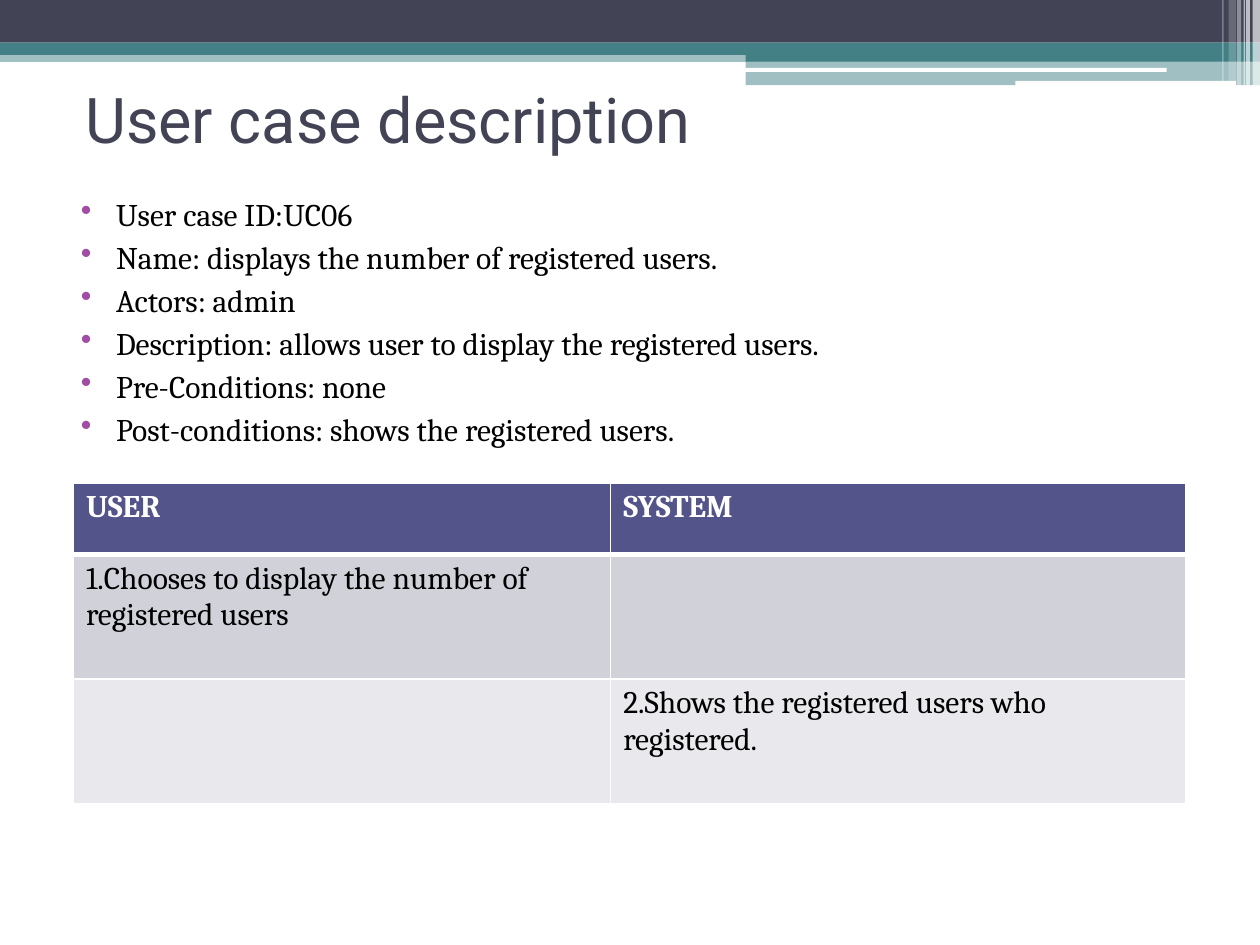
from dataclasses import dataclass

from lxml import etree
from pptx import Presentation
from pptx.dml.color import RGBColor
from pptx.enum.shapes import MSO_SHAPE
from pptx.enum.text import MSO_ANCHOR
from pptx.oxml.ns import qn
from pptx.util import Cm, Pt

RECT = MSO_SHAPE.RECTANGLE
ROUNDED = MSO_SHAPE.ROUNDED_RECTANGLE
MIDDLE = MSO_ANCHOR.MIDDLE


@dataclass(frozen=True)
class Theme:
    """Colours, fonts and type sizes of the slide."""

    navy: str = "424456"
    teal: str = "438086"
    white: str = "FFFFFF"
    ink: str = "000000"
    bullet: str = "A04DA3"
    header: str = "53548A"
    bands: tuple = ("D1D1DA", "E9E9ED")
    title_font: str = "Roboto"
    body_font: str = "Cambria"
    title_size: int = 36
    body_size: int = 18


class SlideBuilder:
    """Draws styled elements on the current slide."""

    def __init__(self, slide, theme):
        self.slide = slide
        self.theme = theme

    def bar(self, left, top, width, height, color, opacity=100, kind=RECT):
        shape = self.slide.shapes.add_shape(kind, Cm(left), Cm(top), Cm(width), Cm(height))
        shape.shadow.inherit = False
        shape.fill.solid()
        shape.fill.fore_color.rgb = RGBColor.from_string(color)
        shape.line.fill.background()
        if opacity < 100:
            color_node = shape.fill._xPr.find(qn("a:solidFill"))[0]
            etree.SubElement(color_node, qn("a:alpha"), val=str(opacity * 1000))

    def run(self, paragraph, text, color, font=None, size=None, bold=False):
        run = paragraph.add_run()
        run.text = text
        run.font.name = font or self.theme.body_font
        run.font.size = Pt(size or self.theme.body_size)
        run.font.bold = bold
        run.font.color.rgb = RGBColor.from_string(color)

    def text_frame(self, left, top, width, height):
        frame = self.slide.shapes.add_textbox(Cm(left), Cm(top), Cm(width), Cm(height)).text_frame
        frame.word_wrap = True
        return frame

    def title(self, text, *box):
        frame = self.text_frame(*box)
        frame.vertical_anchor = MIDDLE
        theme = self.theme
        self.run(frame.paragraphs[0], text, theme.navy, theme.title_font, theme.title_size)

    def bullets(self, items, *box):
        frame = self.text_frame(*box)
        for index, item in enumerate(items):
            paragraph = frame.paragraphs[0] if index == 0 else frame.add_paragraph()
            paragraph.space_before = Pt(3)
            properties = paragraph._p.get_or_add_pPr()
            properties.set("marL", str(Cm(1.02)))
            properties.set("indent", str(Cm(-0.71)))
            bullet_color = etree.SubElement(properties, qn("a:buClr"))
            etree.SubElement(bullet_color, qn("a:srgbClr"), val=self.theme.bullet)
            etree.SubElement(properties, qn("a:buChar"), char="•")
            self.run(paragraph, item, self.theme.ink)

    def borders(self, cell, **widths):
        properties = cell._tc.get_or_add_tcPr()
        for side in "LRTB":
            line = etree.SubElement(properties, qn(f"a:ln{side}"), w=str(Pt(widths.get(side, 1))))
            fill = etree.SubElement(line, qn("a:solidFill"))
            etree.SubElement(fill, qn("a:srgbClr"), val=self.theme.white)

    def table(self, rows, left, top, widths, heights):
        theme = self.theme
        table = self.slide.shapes.add_table(
            len(rows), len(widths), Cm(left), Cm(top), Cm(sum(widths)), Cm(sum(heights))
        ).table
        for column, width in zip(table.columns, widths):
            column.width = Cm(width)
        fills = (theme.header, *theme.bands)
        rules = ({"B": 3}, {"T": 3}, {})
        for r, texts in enumerate(rows):
            table.rows[r].height = Cm(heights[r])
            for c, text in enumerate(texts):
                cell = table.cell(r, c)
                self.borders(cell, **rules[r])
                cell.fill.solid()
                cell.fill.fore_color.rgb = RGBColor.from_string(fills[r])
                if text:
                    color = theme.white if r == 0 else theme.ink
                    self.run(cell.text_frame.paragraphs[0], text, color, bold=r == 0)


def main():
    deck = Presentation()
    deck.slide_width, deck.slide_height = Cm(25.4), Cm(19.05)
    theme = Theme()
    builder = SlideBuilder(deck.slides.add_slide(deck.slide_layouts[6]), theme)

    builder.bar(0, 1.02, 25.4, 0.23, theme.teal, 50)
    builder.bar(0, 0, 25.4, 0.86, theme.navy)
    builder.bar(0, 0.86, 25.4, 0.25, theme.teal)
    builder.bar(15.03, 0.99, 10.37, 0.25, theme.teal)
    builder.bar(15.03, 1.23, 10.37, 0.49, theme.teal, 50)
    builder.bar(15.01, 1.37, 8.51, 0.08, theme.white, kind=ROUNDED)
    builder.bar(20.47, 1.63, 4.45, 0.1, theme.white, kind=ROUNDED)

    corner_stripes = (
        (25.25, 0.15, 1.73, 65),
        (25.12, 0.08, 1.73, 65),
        (25.07, 0.03, 1.73, 60),
        (24.94, 0.08, 1.73, 40),
        (24.77, 0.15, 1.63, 20),
        (24.64, 0.03, 1.63, 30),
    )
    for left, width, height, opacity in corner_stripes:
        builder.bar(left, 0, width, height, theme.white, opacity)

    builder.title("User case description", 1.47, 1.47, 22.86, 1.85)
    use_case = (
        "User case ID:UC06",
        "Name: displays the number of registered users.",
        "Actors: admin",
        "Description: allows user to display the registered users.",
        "Pre-Conditions: none",
        "Post-conditions: shows the registered users.",
    )
    builder.bullets(use_case, 1.07, 3.81, 22.86, 12.19)
    steps = (
        ("USER", "SYSTEM"),
        ("1.Chooses to display the number of registered users", ""),
        ("", "2.Shows the registered users who registered."),
    )
    builder.table(steps, 1.48, 9.74, (10.83, 11.6), (1.44, 2.51, 2.51))

    deck.save("out.pptx")


if __name__ == "__main__":
    main()
